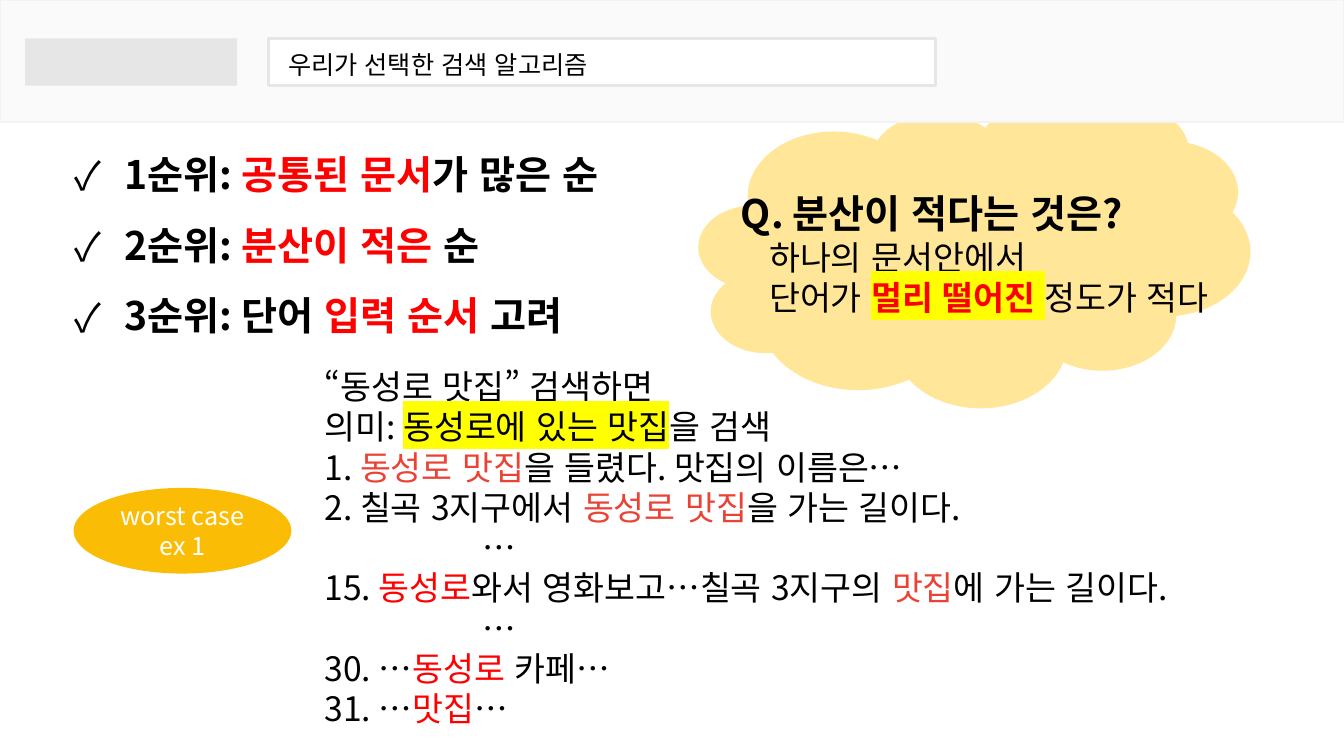
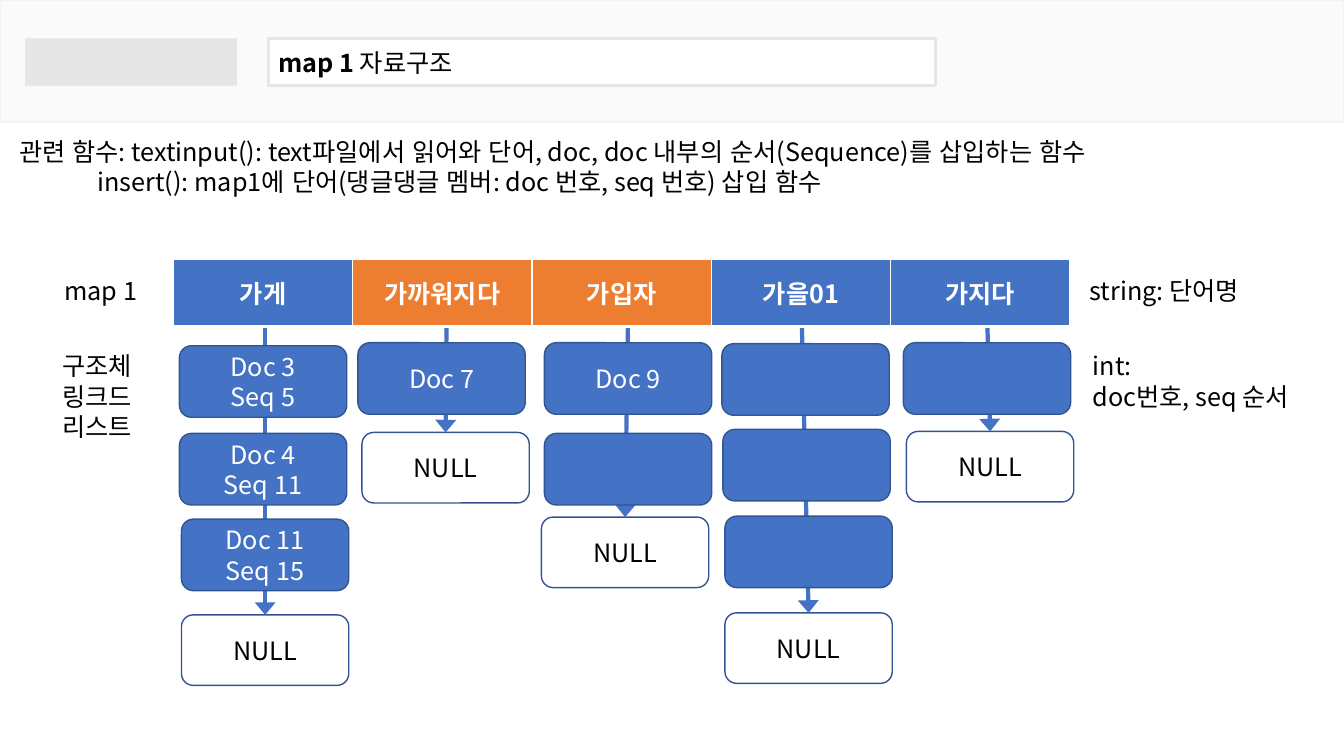
import pptx
import pptx.dml.color
import pptx.enum.shapes
import pptx.enum.text
import pptx.oxml.ns
import pptx.util
from lxml import etree

Inches = pptx.util.Inches
Pt = pptx.util.Pt
qn = pptx.oxml.ns.qn
SHAPE = pptx.enum.shapes.MSO_SHAPE
ALIGN = pptx.enum.text.PP_ALIGN
ANCHOR = pptx.enum.text.MSO_ANCHOR

FONT = "Noto Sans CJK KR"
BLACK, WHITE, RED, YELLOW = "000000", "FFFFFF", "FF0000", "FFFF00"
CORAL, AMBER, GRAY = "EA4335", "FBBC05", "E7E6E6"
BLUE, ORANGE, NAVY = "4472C4", "ED7D31", "325491"


def rgb(value):
    return pptx.dml.color.RGBColor.from_string(value)


def child(parent, tag, **attrs):
    return etree.SubElement(parent, qn(tag), attrs)


class Deck:
    def __init__(self):
        self.prs = pptx.Presentation()
        self.prs.slide_width = Inches(13.33)
        self.prs.slide_height = Inches(7.5)
        self.s = None

    def new_slide(self):
        self.s = self.prs.slides.add_slide(self.prs.slide_layouts[6])

    def run(self, p, text, color=BLACK, bold=False, highlight=None, size=18):
        r = p.add_run()
        r.text = text
        r.font.size = Pt(size)
        r.font.bold = bold
        r.font.color.rgb = rgb(color)
        r.font.name = FONT
        r.font._element.set("lang", "ko-KR")
        latin = r.font._element.find(qn("a:latin"))
        latin.addnext(latin.makeelement(qn("a:ea"), {"typeface": FONT}))
        if highlight:
            mark = latin.makeelement(qn("a:highlight"), {})
            child(mark, "a:srgbClr", val=highlight)
            latin.addprevious(mark)

    def fill_text(self, tf, paragraphs, align=None, **style):
        tf.word_wrap = True
        for i, runs in enumerate(paragraphs):
            p = tf.add_paragraph() if i else tf.paragraphs[0]
            p.alignment = align
            for item in [runs] if isinstance(runs, str) else runs:
                if isinstance(item, str):
                    item = (item,)
                names = ("text", "color", "bold", "highlight", "size")
                self.run(p, **{**style, **dict(zip(names, item))})

    def text(self, x, y, w, h, paragraphs, indents=None, **style):
        sp = self.s.shapes.add_textbox(Inches(x), Inches(y), Inches(w), Inches(h))
        tf = sp.text_frame
        tf.auto_size = pptx.enum.text.MSO_AUTO_SIZE.SHAPE_TO_FIT_TEXT
        self.fill_text(tf, paragraphs, **style)
        for i, indent in (indents or {}).items():
            tf.paragraphs[i]._p.get_or_add_pPr().set("marL", str(Inches(indent)))
        return tf

    def checklist(self, x, y, w, h, paragraphs, **style):
        tf = self.text(x, y, w, h, paragraphs, align=ALIGN.JUSTIFY, **style)
        for p in tf.paragraphs:
            p.line_spacing = 1.5
            pPr = p._p.get_or_add_pPr()
            pPr.set("marL", str(Inches(0.5)))
            pPr.set("indent", str(-Inches(0.5)))
            child(pPr, "a:buFont", typeface=FONT)
            child(pPr, "a:buChar", char="✓")

    def shape(self, kind, x, y, w, h, fill, line=None, width=1,
              paragraphs=(), align=ALIGN.CENTER, **style):
        sp = self.s.shapes.add_shape(kind, Inches(x), Inches(y), Inches(w), Inches(h))
        sp.shadow.inherit = False
        sp.fill.solid()
        sp.fill.fore_color.rgb = rgb(fill)
        if line:
            sp.line.color.rgb = rgb(line)
            sp.line.width = Pt(width)
        else:
            sp.line.fill.background()
        sp.text_frame.vertical_anchor = ANCHOR.MIDDLE
        self.fill_text(sp.text_frame, paragraphs, align, **style)
        return sp

    def header(self, title=()):
        self.shape(SHAPE.RECTANGLE, 0, 0, 13.33, 1.21, "FAFAFA", "F3F3F3")
        self.shape(SHAPE.RECTANGLE, 0.25, 0.38, 2.1, 0.47, GRAY)
        self.shape(SHAPE.RECTANGLE, 2.66, 0.38, 6.62, 0.47, WHITE, GRAY, 2.25,
                   title, ALIGN.LEFT)

    def node(self, x, y, lines):
        return self.shape(SHAPE.ROUNDED_RECTANGLE, x, y, 1.66, 0.71, BLUE, NAVY,
                          paragraphs=lines, color=WHITE)

    def null_node(self, x, y):
        return self.shape(SHAPE.ROUNDED_RECTANGLE, x, y, 1.66, 0.7, WHITE, NAVY,
                          paragraphs=["NULL"])

    def arrow_to(self, x, y, target):
        cn = self.s.shapes.add_connector(
            pptx.enum.shapes.MSO_CONNECTOR.STRAIGHT, Inches(x), Inches(y), Inches(x), Inches(y))
        cn.end_connect(target, 0)
        cn.line.color.rgb = rgb(BLUE)
        cn.line.width = Pt(3)
        spPr = cn._element.spPr
        child(spPr.find(qn("a:ln")), "a:tailEnd", type="triangle", w="lg", len="med")
        child(spPr, "a:effectLst")

    def word_table(self, x, y, w, h, words):
        table = self.s.shapes.add_table(
            1, len(words), Inches(x), Inches(y), Inches(w), Inches(h)).table
        table.first_row = table.horz_banding = False
        for cell, (word, fill) in zip(table.rows[0].cells, words):
            cell.vertical_anchor = ANCHOR.MIDDLE
            self.fill_text(cell.text_frame, [word], ALIGN.CENTER, color=WHITE, bold=True)
            tcPr = cell._tc.get_or_add_tcPr()
            for side, width in (("L", 1), ("R", 1), ("T", 1), ("B", 3)):
                ln = child(tcPr, "a:ln" + side, w=str(Pt(width)))
                child(child(ln, "a:solidFill"), "a:srgbClr", val=WHITE)
            cell.fill.solid()
            cell.fill.fore_color.rgb = rgb(fill)


def ranking_slide(deck):
    deck.new_slide()
    deck.shape(SHAPE.CLOUD, 6.93, 1.03, 5.47, 3.01, "FFE699")
    deck.checklist(0.64, 1.21, 5.76, 2.16, [
        ["1순위: ", ("공통된 문서", RED), "가 많은 순"],
        ["2순위: ", ("분산이 적은 ", RED), "순"],
        ["3순위: 단어 ", ("입력 순서 ", RED), "고려"],
    ], size=28, bold=True)
    deck.header()
    deck.text(2.76, 0.44, 3.33, 0.4, ["우리가 선택한 검색 알고리즘"])
    deck.text(3.12, 3.58, 8.88, 3.74, [
        "“동성로 맛집” 검색하면",
        ["의미: ", ("동성로에 있는 맛집", BLACK, False, YELLOW), "을 검색"],
        ["1. ", ("동성로 맛집", CORAL), "을 들렸다. 맛집의 이름은…"],
        ["2. 칠곡 3지구에서 ", ("동성로 맛집", CORAL), "을 가는 길이다."],
        "…",
        ["15. ", ("동성로", RED), "와서 영화보고…칠곡 3지구의 ",
         ("맛집", CORAL), "에 가는 길이다."],
        "…",
        ["30. …", ("동성로", RED), " 카페…"],
        ["31. …", ("맛집", RED), "…"],
    ], indents={4: 1.57, 6: 1.57}, size=24)
    deck.text(7.25, 1.83, 5.15, 1.38, [
        [("Q. 분산이 적다는 것은?", BLACK, True, None, 28)],
        "하나의 문서안에서",
        ["단어가 ", ("멀리 떨어진 ", RED, True, YELLOW), "정도가 적다"],
    ], indents={1: 0.28, 2: 0.28}, size=24)
    deck.shape(SHAPE.OVAL, 0.73, 4.84, 2.16, 0.85, AMBER,
               paragraphs=["worst case", "ex 1"], color=WHITE)


def map_slide(deck):
    deck.new_slide()
    deck.header([[("map 1 ", BLACK, True), "자료구조"]])
    chains = [
        (2.63, (1.8, 6.1), [(1.78, 3.43, ["Doc 3", "Seq 5"]),
                            (1.78, 4.3, ["Doc 4", "Seq 11"]),
                            (1.8, 5.15, ["Doc 11", "Seq 15"])]),
        (4.43, (3.59, 4.29), [(3.55, 3.4, ["Doc 7"])]),
        (6.23, (5.37, 5.13), [(5.4, 3.4, ["Doc 9"]), (5.4, 4.3, [])]),
        (7.95, (7.19, 6.08), [(7.16, 3.41, []), (7.17, 4.26, []), (7.19, 5.12, [])]),
        (9.79, (8.99, 4.28), [(8.96, 3.4, [])]),
    ]
    for start, null_at, nodes in chains:
        deck.arrow_to(start, 3.09, deck.null_node(*null_at))
        for node in nodes:
            deck.node(*node)
    deck.word_table(1.72, 2.57, 8.89, 0.67, [
        ("가게", BLUE), ("가까워지다", ORANGE), ("가입자", ORANGE),
        ("가을01", BLUE), ("가지다", BLUE)])
    deck.text(0.54, 2.68, 1.08, 0.4, ["map 1"])
    deck.text(0.52, 3.43, 1.08, 1.01, ["구조체", "링크드리스트"])
    deck.text(10.71, 2.68, 2.09, 0.4, ["string: 단어명"])
    deck.text(10.74, 3.43, 2.5, 0.71, ["int:", "doc번호, seq 순서"])
    deck.text(0.09, 1.3, 12.22, 1.01, [
        "관련 함수: textinput(): text파일에서 읽어와 단어, doc, doc 내부의 순서(Sequence)를 삽입하는 함수",
        "insert(): map1에 단어(댕글댕글 멤버: doc 번호, seq 번호) 삽입 함수",
    ], indents={1: 0.78})


def main():
    deck = Deck()
    ranking_slide(deck)
    map_slide(deck)
    deck.prs.save("out.pptx")


if __name__ == "__main__":
    main()
